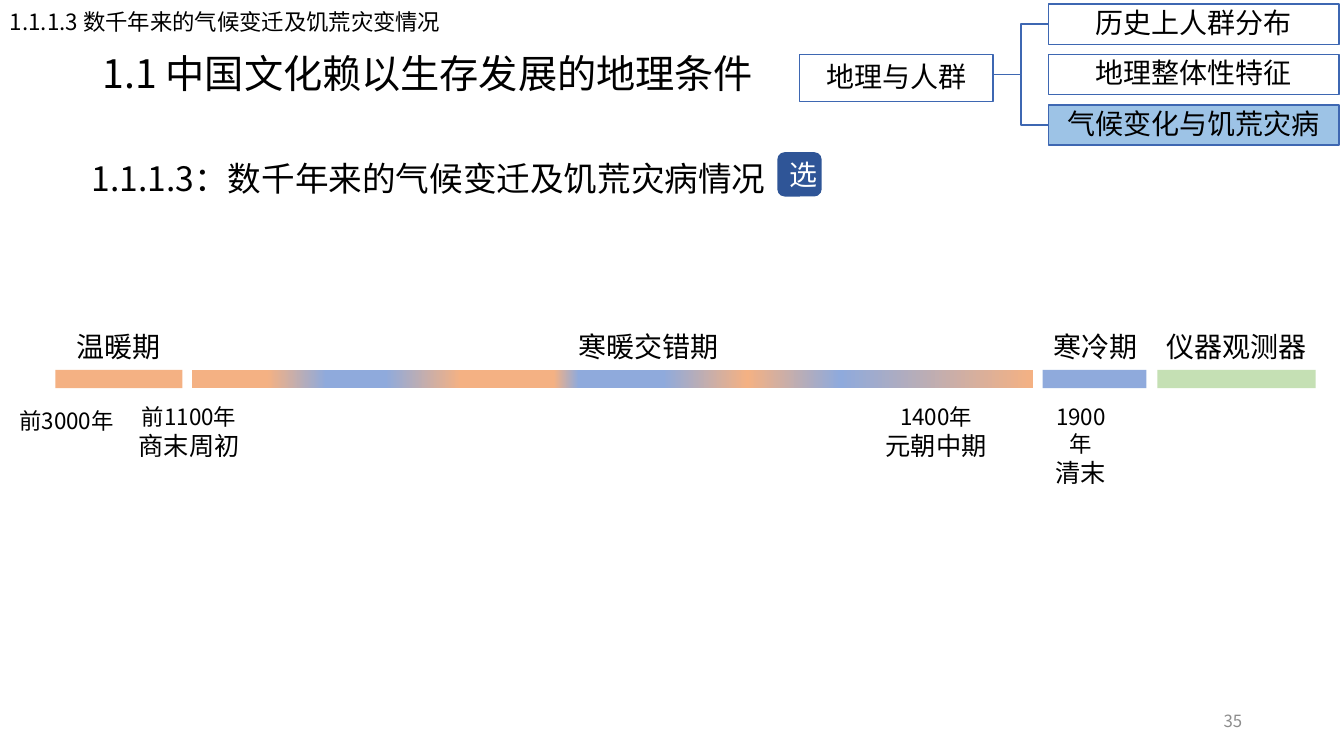
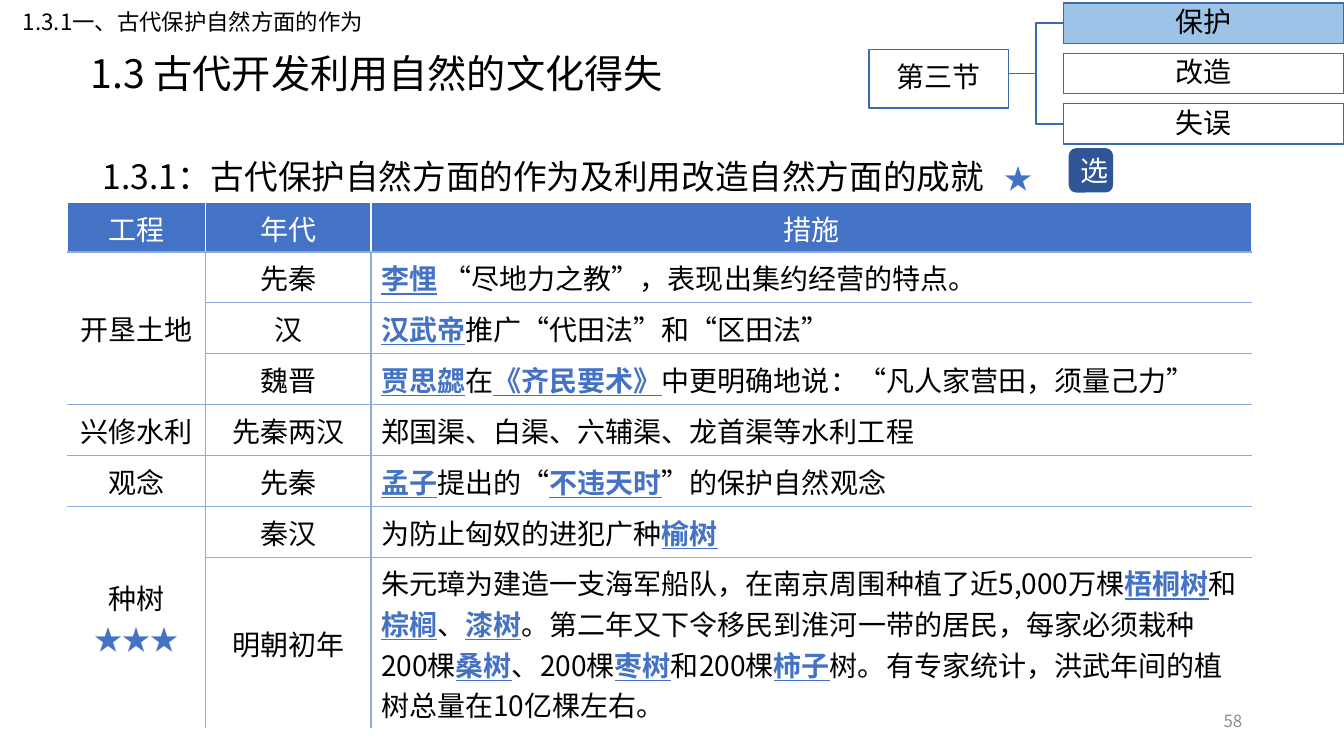
from dataclasses import dataclass

from lxml.etree import SubElement
from pptx import Presentation
from pptx.dml.color import RGBColor
from pptx.enum.shapes import MSO_CONNECTOR, MSO_SHAPE
from pptx.enum.text import MSO_ANCHOR, PP_ALIGN
from pptx.oxml.ns import qn
from pptx.util import Inches, Pt


@dataclass(frozen=True)
class Theme:
    font: str = "Noto Sans CJK SC"
    label_font: str = "Noto Sans CJK JP"
    black: str = "000000"
    white: str = "FFFFFF"
    gray: str = "8C8C8C"
    accent: str = "4472C4"
    badge: str = "2F5597"
    outline: str = "3E67B2"
    current: str = "9DC3E6"
    warm: str = "F4B183"
    cold: str = "8FAADC"
    measured: str = "C5E0B4"
    title: int = 28
    heading: int = 24
    body: int = 20
    event: int = 18
    small: int = 16
    footer: int = 12


T = Theme()

CLIMATE = dict(
    crumb="1.1.1.3 数千年来的气候变迁及饥荒灾变情况", crumb_left=0,
    title="1.1 中国文化赖以生存发展的地理条件", title_left=0.92,
    heading="1.1.1.3：数千年来的气候变迁及饥荒灾病情况", star_tab=None,
    heading_at=(0.81, 1.32), badge_at=(7.71, 1.51), number="35",
    root=("地理与人群", 7.93, 0.54, 1.92, 0.47),
    branches=["历史上人群分布", "地理整体性特征", "气候变化与饥荒灾病"],
    branch_left=10.4, branch_top=0.04, branch_width=2.88, current=2,
)
PROTECTION = dict(
    crumb="1.3.1一、古代保护自然方面的作为", crumb_left=0.13,
    title="1.3 古代开发利用自然的文化得失", title_left=0.8,
    heading="1.3.1：古代保护自然方面的作为及利用改造自然方面的成就\t*★*", star_tab=8.94,
    heading_at=(0.92, 1.3), badge_at=(10.6, 1.47), number="58",
    root=("第三节", 8.62, 0.49, 1.38, 0.58),
    branches=["保护", "改造", "失误"],
    branch_left=10.55, branch_top=0.03, branch_width=2.78, current=0,
)

# name, bar left, bar width, label left, label width, colour or gradient stops
PERIODS = [
    ("温暖期", 0.55, 1.26, 0.6, 1.15, T.warm),
    ("寒暖交错期", 1.9, 8.35, 5.44, 1.99,
     [(9, T.warm), (16, T.cold), (23, T.cold), (32, T.warm), (43, T.warm),
      (46, T.cold), (56, T.cold), (66, T.warm), (77, T.cold), (100, T.warm)]),
    ("寒冷期", 10.34, 1.03, 10.29, 1.15, T.cold),
    ("仪器观测器", 11.48, 1.57, 11.4, 1.73, T.measured),
]
START = "前3000年"
EVENTS = [
    ("前1100年", "商末周初", 1.27, 1.21),
    ("1400年", "元朝中期", 8.68, 1.21),
    ("1900年", "清末", 10.29, 0.86),
]

# Text between asterisks is emphasised
TABLE_HEADER = ["工程", "年代", "措施"]
PROJECTS = [
    ("开垦土地", [
        ("先秦", "*李悝* “尽地力之教”，表现出集约经营的特点。"),
        ("汉", "*汉武帝*推广“代田法”和“区田法”"),
        ("魏晋", "*贾思勰*在*《齐民要术》*中更明确地说：“凡人家营田，须量己力”"),
    ]),
    ("兴修水利", [("先秦两汉", "郑国渠、白渠、六辅渠、龙首渠等水利工程")]),
    ("观念", [("先秦", "*孟子*提出的“*不违天时*”的保护自然观念")]),
    ("种树*★★★*", [
        ("秦汉", "为防止匈奴的进犯广种*榆树*"),
        ("明朝初年",
         "朱元璋为建造一支海军船队，在南京周围种植了近5,000万棵*梧桐树*和*棕榈*、*漆树*。"
         "第二年又下令移民到淮河一带的居民，每家必须栽种200棵*桑树*、200棵*枣树*和"
         "200棵*柿子*树。有专家统计，洪武年间的植树总量在10亿棵左右。"),
    ]),
]
COLUMN_WIDTHS = [1.37, 1.64, 8.73]
HEADER_HEIGHT, MIDDLE_HEIGHT, LAST_HEIGHT = 0.49, 3.03, 1.7


def rgb(color):
    return RGBColor.from_string(color)


def write(p, text, size, color=T.black, align=PP_ALIGN.LEFT, spacing=None,
          font=T.font, tab=None):
    """Fill a paragraph; parts between asterisks become accent runs."""
    p.alignment = align
    if spacing:
        p.line_spacing = spacing
    if tab:
        tabs = SubElement(p._p.get_or_add_pPr(), qn("a:tabLst"))
        SubElement(tabs, qn("a:tab"), pos=str(Inches(tab)), algn="l")
    p.font.size, p.font.name = Pt(size), font
    p.font.color.rgb = rgb(color)
    defaults = p._p.pPr.find(qn("a:defRPr"))
    SubElement(defaults, qn("a:ea"), typeface=font)
    for i, part in enumerate(text.split("*")):
        if not part:
            continue
        r = p.add_run()
        r.text = part
        if i % 2:
            r.font.color.rgb = rgb(T.accent)
            if part.startswith("★"):
                r.font.size = Pt(T.body)
            else:
                r.font.bold = r.font.underline = True


def add_text(slide, box, text, size, anchor=MSO_ANCHOR.TOP, **style):
    tf = slide.shapes.add_textbox(*map(Inches, box)).text_frame
    tf.word_wrap, tf.vertical_anchor = True, anchor
    write(tf.paragraphs[0], text, size, **style)
    return tf


def add_box(slide, box, fill, line=None, kind=MSO_SHAPE.RECTANGLE):
    sp = slide.shapes.add_shape(kind, *map(Inches, box))
    sp.shadow.inherit = False
    if isinstance(fill, str):
        sp.fill.solid()
        sp.fill.fore_color.rgb = rgb(fill)
    else:
        set_gradient(sp, fill)
    if line:
        sp.line.color.rgb = rgb(line)
        sp.line.width = Pt(1)
    else:
        sp.line.fill.background()
    return sp


def set_gradient(sp, stops):
    sp.fill.gradient()
    sp.fill.gradient_angle = 0
    stop_list = sp._element.spPr.find(qn("a:gradFill")).find(qn("a:gsLst"))
    for old in list(stop_list):
        stop_list.remove(old)
    for percent, color in stops:
        stop = SubElement(stop_list, qn("a:gs"), pos=str(percent * 1000))
        SubElement(stop, qn("a:srgbClr"), val=color)


def add_tree(slide, page):
    """Draw the section map in the top right corner."""
    def node(text, box, fill):
        sp = add_box(slide, box, fill, T.outline)
        tf = sp.text_frame
        tf.word_wrap, tf.vertical_anchor = True, MSO_ANCHOR.MIDDLE
        tf.margin_left = tf.margin_right = Inches(0.01)
        tf.margin_top = tf.margin_bottom = Inches(0.01)
        write(tf.paragraphs[0], text, T.body, align=PP_ALIGN.CENTER, spacing=0.9)
        return sp

    name, *root_box = page["root"]
    root = node(name, root_box, T.white)
    branches = [
        node(text, (page["branch_left"], page["branch_top"] + 0.5 * i,
                    page["branch_width"], 0.4),
             T.current if i == page["current"] else T.white)
        for i, text in enumerate(page["branches"])
    ]
    first, middle, last = branches
    for branch in (first, last):
        link = slide.shapes.add_connector(
            MSO_CONNECTOR.ELBOW, root.left + root.width, middle.top + middle.height // 2,
            branch.left, branch.top + branch.height // 2)
        link.end_connect(branch, 1)
        link.line.color.rgb = rgb(T.outline)
        link.line.width = Pt(1)
        SubElement(link._element.spPr, qn("a:effectLst"))


def add_page(prs, page):
    """Add a slide with the parts every page shares."""
    slide = prs.slides.add_slide(prs.slide_layouts[6])
    add_text(slide, (page["title_left"], 0.4, 11.5, 0.71), page["title"], T.title,
             MSO_ANCHOR.MIDDLE, spacing=0.9)
    add_text(slide, (page["crumb_left"], 0.03, 6, 0.37), page["crumb"], T.small)
    add_text(slide, (*page["heading_at"], 11.5, 0.71), page["heading"], T.heading,
             spacing=1.5, tab=page["star_tab"])
    add_text(slide, (9.42, 6.95, 3, 0.4), page["number"], T.footer,
             MSO_ANCHOR.MIDDLE, color=T.gray, align=PP_ALIGN.RIGHT)
    badge = add_box(slide, (*page["badge_at"], 0.44, 0.44), T.badge,
                    kind=MSO_SHAPE.ROUNDED_RECTANGLE)
    badge.text_frame.vertical_anchor = MSO_ANCHOR.MIDDLE
    write(badge.text_frame.paragraphs[0], "选", T.body, T.white, PP_ALIGN.CENTER)
    add_tree(slide, page)
    return slide


def add_timeline(slide):
    label = dict(align=PP_ALIGN.CENTER, font=T.label_font)
    for name, left, width, label_left, label_width, fill in PERIODS:
        add_box(slide, (left, 3.67, width, 0.18), fill)
        add_text(slide, (label_left, 3.22, label_width, 0.44), name, T.body, **label)
    add_text(slide, (0.09, 3.86, 1.14, 0.5), START, T.small, spacing=1.5, **label)
    for year, era, left, width in EVENTS:
        tf = add_text(slide, (left, 3.95, width, 0.67), year, T.small, **label)
        write(tf.add_paragraph(), era, T.event, **label)


def set_borders(cell, **colors):
    tcPr = cell._tc.get_or_add_tcPr()
    for i, side in enumerate("LRTB"):
        ln = SubElement(tcPr, qn(f"a:ln{side}"), w=str(Pt(1)))
        SubElement(SubElement(ln, qn("a:solidFill")), qn("a:srgbClr"),
                   val=colors.get(side, T.cold))
        tcPr.insert(i, ln)


def add_measures_table(slide):
    rows = [TABLE_HEADER]
    merges = []
    for project, measures in PROJECTS:
        merges.append((len(rows), len(rows) + len(measures) - 1))
        for i, (era, measure) in enumerate(measures):
            rows.append(["" if i else project, era, measure])
    last_row, last_col = len(rows) - 1, len(COLUMN_WIDTHS) - 1
    last_project_row = merges[-1][0]
    middle_rows = last_row - 1
    heights = [HEADER_HEIGHT, *[MIDDLE_HEIGHT / middle_rows] * middle_rows, LAST_HEIGHT]
    box = (0.67, 2.01, sum(COLUMN_WIDTHS), sum(heights))
    table = slide.shapes.add_table(len(rows), len(COLUMN_WIDTHS),
                                   *map(Inches, box)).table
    table.first_row = table.horz_banding = False
    for column, width in zip(table.columns, COLUMN_WIDTHS):
        column.width = Inches(width)
    for y, texts in enumerate(rows):
        table.rows[y].height = Inches(heights[y])
        for x, text in enumerate(texts):
            cell = table.cell(y, x)
            cell.vertical_anchor = MSO_ANCHOR.MIDDLE
            header = y == 0
            if header:
                cell.fill.solid()
                cell.fill.fore_color.rgb = rgb(T.accent)
            else:
                cell.fill.background()
            white_sides = {"L": header or x == 0, "R": header or x == last_col,
                           "T": header,
                           "B": y >= (last_row if x else last_project_row)}
            set_borders(cell, **{s: T.white for s, on in white_sides.items() if on})
            centred = header or x < last_col
            write(cell.text_frame.paragraphs[0], text, T.body,
                  T.white if header else T.black,
                  PP_ALIGN.CENTER if centred else PP_ALIGN.LEFT)
    for first, last in merges:
        if last > first:
            table.cell(first, 0).merge(table.cell(last, 0))


def main():
    prs = Presentation()
    prs.slide_width, prs.slide_height = Inches(13.33), Inches(7.5)
    add_timeline(add_page(prs, CLIMATE))
    add_measures_table(add_page(prs, PROTECTION))
    prs.save("out.pptx")


if __name__ == "__main__":
    main()
